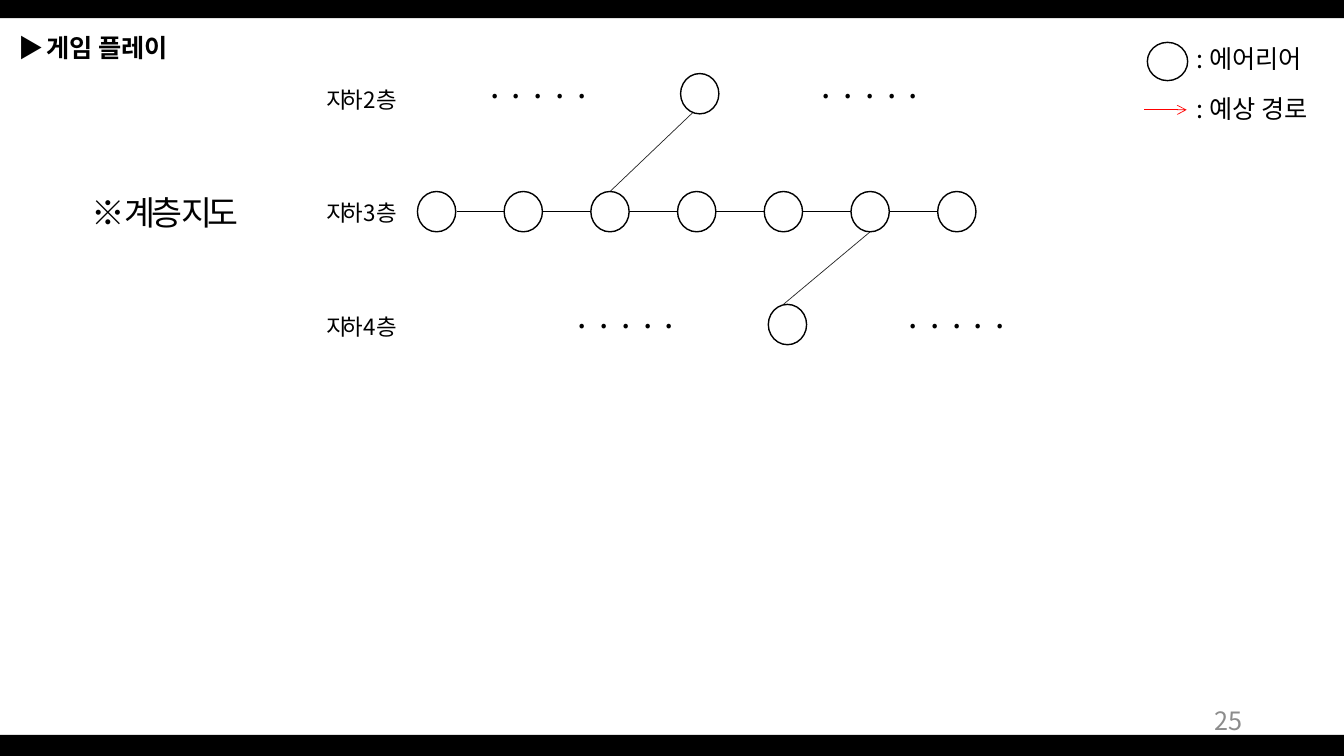
from pptx import Presentation
from pptx.dml.color import RGBColor
from pptx.enum.shapes import MSO_CONNECTOR, MSO_SHAPE
from pptx.enum.text import MSO_ANCHOR, MSO_AUTO_SIZE, PP_ALIGN
from pptx.oxml.ns import qn
from pptx.util import Inches, Pt
from lxml import etree

STRAIGHT = MSO_CONNECTOR.STRAIGHT
RECT, OVAL = MSO_SHAPE.RECTANGLE, MSO_SHAPE.OVAL
LEFT, CENTER, RIGHT = PP_ALIGN.LEFT, PP_ALIGN.CENTER, PP_ALIGN.RIGHT
TOP, MIDDLE = MSO_ANCHOR.TOP, MSO_ANCHOR.MIDDLE
NO_FIT = MSO_AUTO_SIZE.NONE
FONT = "Noto Sans CJK KR"
COLORS = {"black": "000000", "white": "FFFFFF", "route": "FF0000",
          "link": "262626", "number": "8C8C8C"}
W, H = 13.33, 7.5
NODE_W, NODE_H = 0.38, 0.4
FLOOR_Y = [0.93, 2.1, 3.22]
LABEL_Y = [0.81, 1.93, 3.06]


def col(i):
    return 4.33 + 0.86 * i


def color(name):
    return RGBColor.from_string(COLORS[name])


def add_run(p, text, size, fill="black", bold=False, spacing=0):
    r = p.add_run()
    r.text = text
    formats = {"name": FONT, "size": Pt(size), "bold": bold}
    for key, value in formats.items():
        setattr(r.font, key, value)
    r.font.color.rgb = color(fill)
    rpr = r.font._element
    etree.SubElement(rpr, qn("a:ea")).set("typeface", FONT)
    if spacing:
        rpr.set("spc", str(round(spacing * 100)))


def format_frame(tf, anchor, align):
    formats = {"word_wrap": True, "auto_size": NO_FIT, "vertical_anchor": anchor}
    for key, value in formats.items():
        setattr(tf, key, value)
    p = tf.paragraphs[0]
    p.alignment = align
    return p


def add_text(s, text, box, size, align=LEFT, anchor=TOP, **run):
    sp = s.shapes.add_textbox(*map(Inches, box))
    add_run(format_frame(sp.text_frame, anchor, align), text, size, **run)


def add_title(s):
    sp = s.shapes.title
    box = {"left": 0.08, "top": 0.27, "width": 4.13, "height": 0.4}
    for key, value in box.items():
        setattr(sp, key, Inches(value))
    p = format_frame(sp.text_frame, TOP, LEFT)
    add_run(p, "▶ ", 18, spacing=-2)
    add_run(p, "게임 플레이", 18, bold=True)


def add_shape(s, kind, box, fill, line=None):
    sp = s.shapes.add_shape(kind, *map(Inches, box))
    sp.shadow.inherit = False
    sp.fill.solid()
    sp.fill.fore_color.rgb = color(fill)
    if line:
        sp.line.color.rgb = color(line)
        sp.line.width = Pt(1)
    else:
        sp.line.fill.background()


def add_node(s, x, y, w=NODE_W, h=NODE_H):
    add_shape(s, OVAL, (x - w / 2, y - h / 2, w, h), "white", "black")


def add_line(s, start, end, stroke, arrow=False):
    sp = s.shapes.add_connector(STRAIGHT, *map(Inches, start + end))
    sp.line.color.rgb = color(stroke)
    sp.line.width = Pt(0.5)
    if arrow:
        ln = sp.line._get_or_add_ln()
        etree.SubElement(ln, qn("a:tailEnd")).set("type", "arrow")
    etree.SubElement(sp._element.spPr, qn("a:effectLst"))


def add_legend(s):
    add_node(s, 11.58, 0.61, NODE_H, NODE_W)
    add_line(s, (11.35, 1.09), (11.77, 1.09), "route", arrow=True)
    for text, y in ((": 에어리어", 0.38), (": 예상 경로", 0.88)):
        add_text(s, text, (11.77, y, 1.5, 0.4), 18)


def add_map(s):
    upper, middle, lower = FLOOR_Y
    add_text(s, "※ 계층 지도", (0.64, 1.85, 2, 0.5), 24, CENTER, spacing=-3)
    for floor, y in enumerate(LABEL_Y, 2):
        add_text(s, f"지하 {floor}층", (3.12, y, 0.93, 0.37), 16, CENTER, spacing=-3)

    add_line(s, (col(0) + NODE_H / 2, middle), (col(6) - NODE_W / 2, middle), "black")
    add_line(s, (col(3), 1.08), (col(2), middle - NODE_H / 2), "link")
    add_line(s, (col(5), middle + NODE_H / 2), (col(4), lower - NODE_H / 2), "link")
    for i in range(7):
        add_node(s, col(i), middle)
    add_node(s, 6.94, upper)
    add_node(s, 7.81, lower)

    for y, lefts in ((0.59, (4.06, 7.35)), (2.88, (4.93, 8.21))):
        for x in lefts:
            add_text(s, ". . . . .", (x, y, 2.56, 0.5), 24, CENTER, spacing=1.75)


def main():
    prs = Presentation()
    prs.slide_width, prs.slide_height = Inches(W), Inches(H)
    s = prs.slides.add_slide(prs.slide_layouts[5])
    add_shape(s, RECT, (0, 0, W, 0.18), "black")
    add_shape(s, RECT, (0, 7.29, W, H - 7.29), "black")
    add_title(s)
    add_legend(s)
    add_map(s)
    add_text(s, "25", (9.42, 6.95, 3, 0.4), 18, RIGHT, MIDDLE, fill="number")
    prs.save("out.pptx")


if __name__ == "__main__":
    main()
